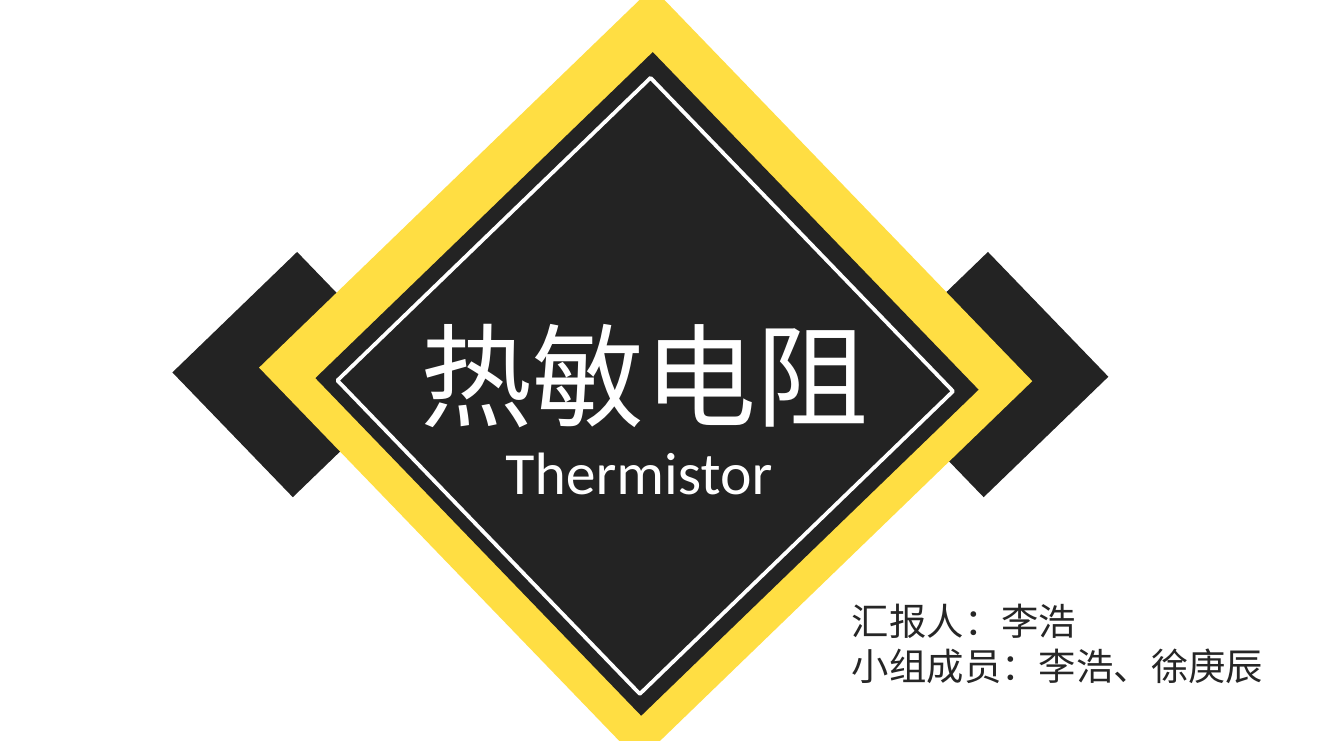
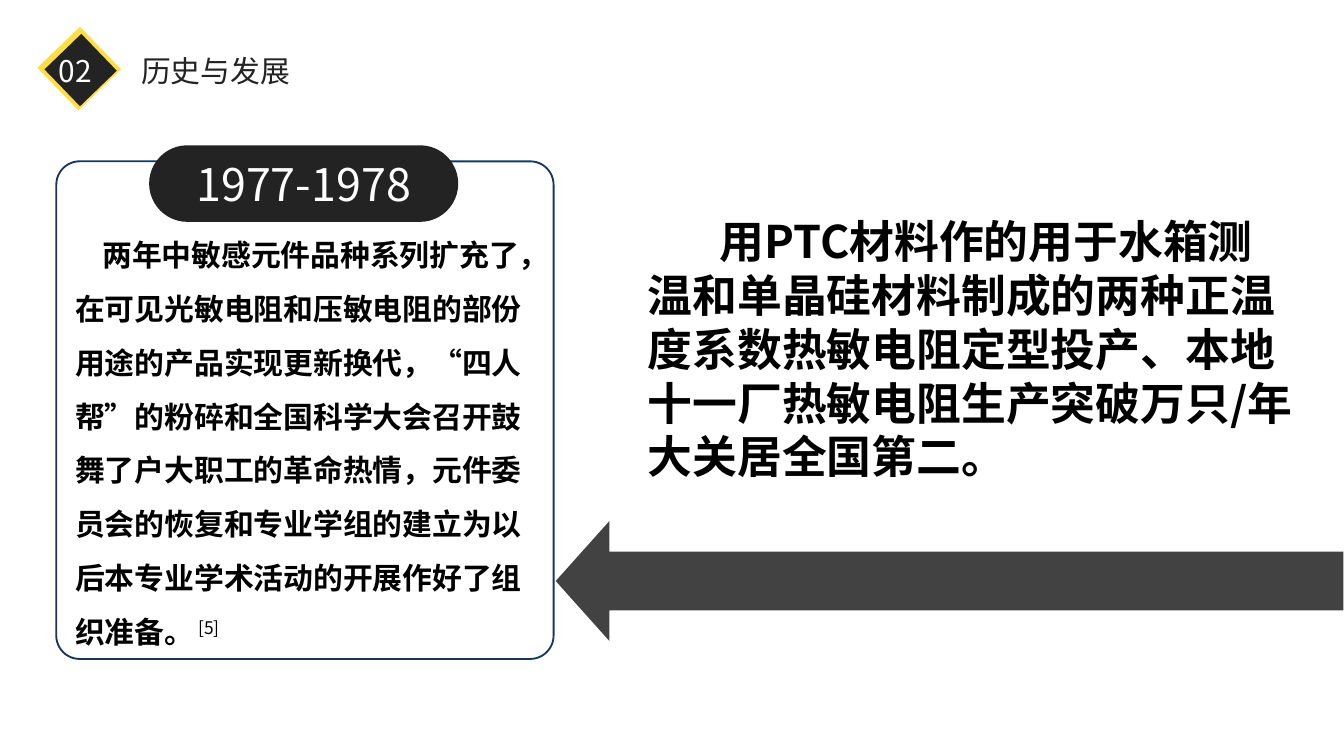
import pptx
import pptx.util
import pptx.dml.color
import pptx.enum.shapes
import pptx.enum.text
import pptx.oxml.ns
import lxml.etree

Pt = pptx.util.Pt
SHAPES = pptx.enum.shapes.MSO_SHAPE
ALIGN = pptx.enum.text.PP_ALIGN
ANCHOR = pptx.enum.text.MSO_ANCHOR
AUTO_SIZE = pptx.enum.text.MSO_AUTO_SIZE
qn = pptx.oxml.ns.qn

COLORS = {
    "dark": "232323",
    "yellow": "FFDE43",
    "white": "FFFFFF",
    "black": "000000",
    "credit": "262626",
    "frame": "17375E",
    "arrow": "424242",
}
HAN = "Noto Sans CJK SC"
LATIN = "Calibri"
TITLE_ONLY = 5
DIAMOND_TURN = 46

HISTORY = (
    "两年中敏感元件品种系列扩充了，在可见光敏电阻和压敏电阻的部份用途的产品实现更新换代，"
    "“四人帮”的粉碎和全国科学大会召开鼓舞了户大职工的革命热情，元件委员会的恢复和专业学组的"
    "建立为以后本专业学术活动的开展作好了组织准备。"
)
OUTPUT = (
    "用PTC材料作的用于水箱测温和单晶硅材料制成的两种正温度系数热敏电阻定型投产、"
    "本地十一厂热敏电阻生产突破万只/年大关居全国第二。"
)


def rgb(name):
    return pptx.dml.color.RGBColor.from_string(COLORS[name])


def set_values(target, **values):
    for name, value in values.items():
        setattr(target, name, value)


def place(shape, left, top, width, height):
    set_values(shape, left=Pt(left), top=Pt(top), width=Pt(width), height=Pt(height))


def add_block(page, kind, bounds, fill=None, line=None, weight=1, turn=0, adjust=()):
    block = page.shapes.add_shape(kind, *map(Pt, bounds))
    block.shadow.inherit = False
    block.rotation = turn
    for index, value in enumerate(adjust):
        block.adjustments[index] = value
    if fill:
        block.fill.solid()
        block.fill.fore_color.rgb = rgb(fill)
    else:
        block.fill.background()
    if line:
        block.line.color.rgb = rgb(line)
        block.line.width = Pt(weight)
    else:
        block.line.fill.background()
    return block


def add_diamond(page, left, top, side, **style):
    return add_block(page, SHAPES.RECTANGLE, (left, top, side, side), turn=DIAMOND_TURN, **style)


def add_span(para, text, size, color, font=HAN, bold=False, baseline=0):
    span = para.add_run()
    span.text = text
    set_values(span.font, size=Pt(size), name=font, bold=bold)
    span.font.color.rgb = rgb(color)
    properties = span.font._element
    east_asian = lxml.etree.SubElement(properties, qn("a:ea"))
    east_asian.set("typeface", font)
    if baseline:
        properties.set("baseline", str(baseline * 1000))


def write(shape, lines, size, color, font=HAN, bold=False, align=ALIGN.LEFT, indent=0,
          spacing=None, wrap=False, grow=True, anchor=ANCHOR.TOP, inset=(7.2, 3.6)):
    frame = shape.text_frame
    side, edge = map(Pt, inset)
    set_values(
        frame,
        margin_left=side,
        margin_right=side,
        margin_top=edge,
        margin_bottom=edge,
        word_wrap=wrap,
        vertical_anchor=anchor,
        auto_size=AUTO_SIZE.SHAPE_TO_FIT_TEXT if grow else AUTO_SIZE.NONE,
    )
    for index, text in enumerate(lines):
        para = frame.add_paragraph() if index else frame.paragraphs[0]
        set_values(para, alignment=align, line_spacing=spacing)
        if indent:
            para._p.get_or_add_pPr().set("indent", str(Pt(indent)))
        add_span(para, text, size, color, font, bold)
    return frame


def add_text(page, bounds, lines, size, color, **style):
    box = page.shapes.add_textbox(*map(Pt, bounds))
    return write(box, lines, size, color, **style)


def add_title(page, bounds, text, size, color):
    title = page.shapes.title
    place(title, *bounds)
    title.element.getparent().append(title.element)
    write(title, [text], size, color)


def add_page(deck):
    return deck.slides.add_slide(deck.slide_layouts[TITLE_ONLY])


def build_cover(deck):
    page = add_page(deck)
    for left in (111.6, 481.7):
        add_diamond(page, left, 154.1, 92.9, fill="dark")
    add_diamond(page, 199.4, 54, 293, fill="yellow")
    add_diamond(page, 221, 79.9, 251.3, fill="dark")
    add_diamond(page, 229, 90, 233.3, line="white", weight=2)
    add_title(page, (218.2, 160.6, 257, 79.9), "热敏电阻", 60, "white")
    add_text(page, (262.8, 229, 159.1, 46.1), ["Thermistor"], 32, "white",
             font=LATIN, align=ALIGN.CENTER)
    add_text(page, (449.3, 316.8, 236.9, 55.4),
             ["汇报人：李浩", "小组成员：李浩、徐庚辰"], 20, "credit")


def add_section_header(page, number, title):
    add_diamond(page, 26.6, 20.9, 31.7, fill="yellow")
    add_diamond(page, 29.5, 23.8, 27.4, fill="dark")
    add_text(page, (24.5, 24.5, 33.1, 26.6), [number], 16, "white")
    add_title(page, (68.4, 24.5, 95, 26.6), title, 16, "dark")


def build_history(deck):
    page = add_page(deck)
    add_block(page, SHAPES.ROUNDED_RECTANGLE, (30.2, 86.4, 266.4, 266.4),
              line="frame", adjust=(0.047,))
    period = add_block(page, SHAPES.ROUNDED_RECTANGLE, (79.9, 77.8, 165.6, 41),
                       fill="dark", adjust=(0.5,))
    write(period, ["1977-1978"], 24, "white", align=ALIGN.CENTER,
          anchor=ANCHOR.MIDDLE, grow=False, inset=(5, 2.9))
    story = add_text(page, (36.7, 115.9, 259.9, 195.1), [HISTORY], 16, "black", bold=True,
                     indent=14.5, spacing=1.5, wrap=True, grow=False, inset=(3.6, 1.4))
    add_span(story.paragraphs[0], " [5]", 16, "black", baseline=30)
    add_section_header(page, "02", "历史与发展")
    add_text(page, (342, 111.6, 357.8, 150.5), [OUTPUT], 24, "black", bold=True,
             indent=38.6, wrap=True, inset=(5, 2.9))
    add_block(page, SHAPES.DOWN_ARROW, (476.6, 100.1, 64.1, 421.9), fill="arrow",
              turn=90, adjust=(0.491, 0.448))


def main():
    deck = pptx.Presentation()
    set_values(deck, slide_width=Pt(720), slide_height=Pt(396.7))
    build_cover(deck)
    build_history(deck)
    deck.save("out.pptx")


if __name__ == "__main__":
    main()
